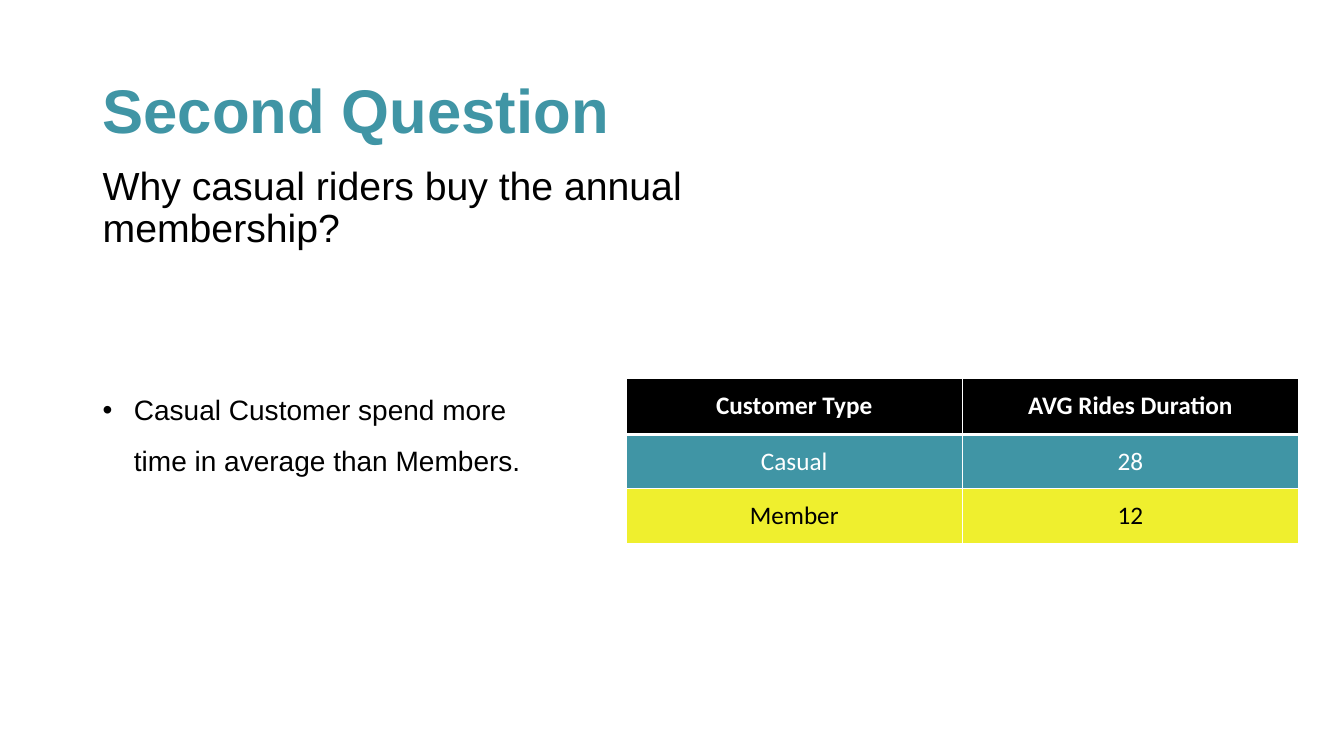
import pptx
import pptx.dml.color
import pptx.enum.text
import pptx.oxml.ns
import pptx.util
import lxml.etree

THEME = {
    "teal": "4095A5", "yellow": "EFEF2E", "black": "000000", "white": "FFFFFF",
    "heading_font": "Arial", "table_font": "Calibri",
    "title": 44, "question": 28, "bullet": 20, "cell": 18,
    "rule": 1, "header_rule": 3,
}
Inches = pptx.util.Inches
qn = pptx.oxml.ns.qn
CENTER = pptx.enum.text.PP_ALIGN.CENTER
MIDDLE = pptx.enum.text.MSO_ANCHOR.MIDDLE
TOP = pptx.enum.text.MSO_ANCHOR.TOP


def add_text(para, text, size, color, font, bold=False):
    span = para.add_run()
    span.text = text
    span.font.size = pptx.util.Pt(THEME[size])
    span.font.name = THEME[font]
    span.font.bold = bold
    span.font.color.rgb = pptx.dml.color.RGBColor.from_string(THEME[color])


def add_border(properties, side, width):
    line = lxml.etree.SubElement(properties, qn(f"a:ln{side}"), w=str(pptx.util.Pt(width)))
    fill = lxml.etree.SubElement(line, qn("a:solidFill"))
    lxml.etree.SubElement(fill, qn("a:srgbClr"), val=THEME["white"])


deck = pptx.Presentation()
deck.slide_width, deck.slide_height = Inches(13.33), Inches(7.5)
page = deck.slides.add_slide(deck.slide_layouts[6])

left_margin = 0.92
texts = [
    ("Second Question", 0.4, 11.5, 1.45, "title", "teal", True, MIDDLE, 0.9, 0),
    ("Why casual riders buy the annual membership?", 1.6, 6.05, 1.27, "question", "black", False, TOP, 0.9, 10),
    ("Casual Customer spend more time in average than Members.", 3.68, 4.77, 1.72, "bullet", "black", False, TOP, 1.5, 0),
]
for text, top, width, height, size, color, bold, anchor, spacing, before in texts:
    box = page.shapes.add_textbox(Inches(left_margin), Inches(top), Inches(width), Inches(height))
    box.text_frame.word_wrap = True
    box.text_frame.vertical_anchor = anchor
    para = box.text_frame.paragraphs[0]
    para.line_spacing = spacing
    para.space_before = pptx.util.Pt(before)
    add_text(para, text, size, color, "heading_font", bold)
    if size == "bullet":
        indent = Inches(0.31)
        properties = para._p.get_or_add_pPr()
        properties.set("marL", str(indent))
        properties.set("indent", str(-indent))
        lxml.etree.SubElement(properties, qn("a:buFont"), typeface=THEME["heading_font"])
        lxml.etree.SubElement(properties, qn("a:buChar"), char="•")

rows = [
    (("Customer Type", "AVG Rides Duration"), 0.56, "black", "white"),
    (("Casual", "28"), 0.54, "teal", "white"),
    (("Member", "12"), 0.54, "yellow", "black"),
]
table = page.shapes.add_table(
    len(rows), 2, Inches(6.21), Inches(3.75), Inches(6.67), Inches(1.64)
).table
for row_index, (labels, height, background, color) in enumerate(rows):
    table.rows[row_index].height = Inches(height)
    for column_index, label in enumerate(labels):
        cell = table.cell(row_index, column_index)
        cell.vertical_anchor = MIDDLE
        for side in "LRTB":
            under_header = (row_index, side) in ((0, "B"), (1, "T"))
            add_border(cell._tc.get_or_add_tcPr(), side, THEME["header_rule" if under_header else "rule"])
        cell.fill.solid()
        cell.fill.fore_color.rgb = pptx.dml.color.RGBColor.from_string(THEME[background])
        para = cell.text_frame.paragraphs[0]
        para.alignment = CENTER
        add_text(para, label, "cell", color, "table_font", row_index == 0)

deck.save("out.pptx")
